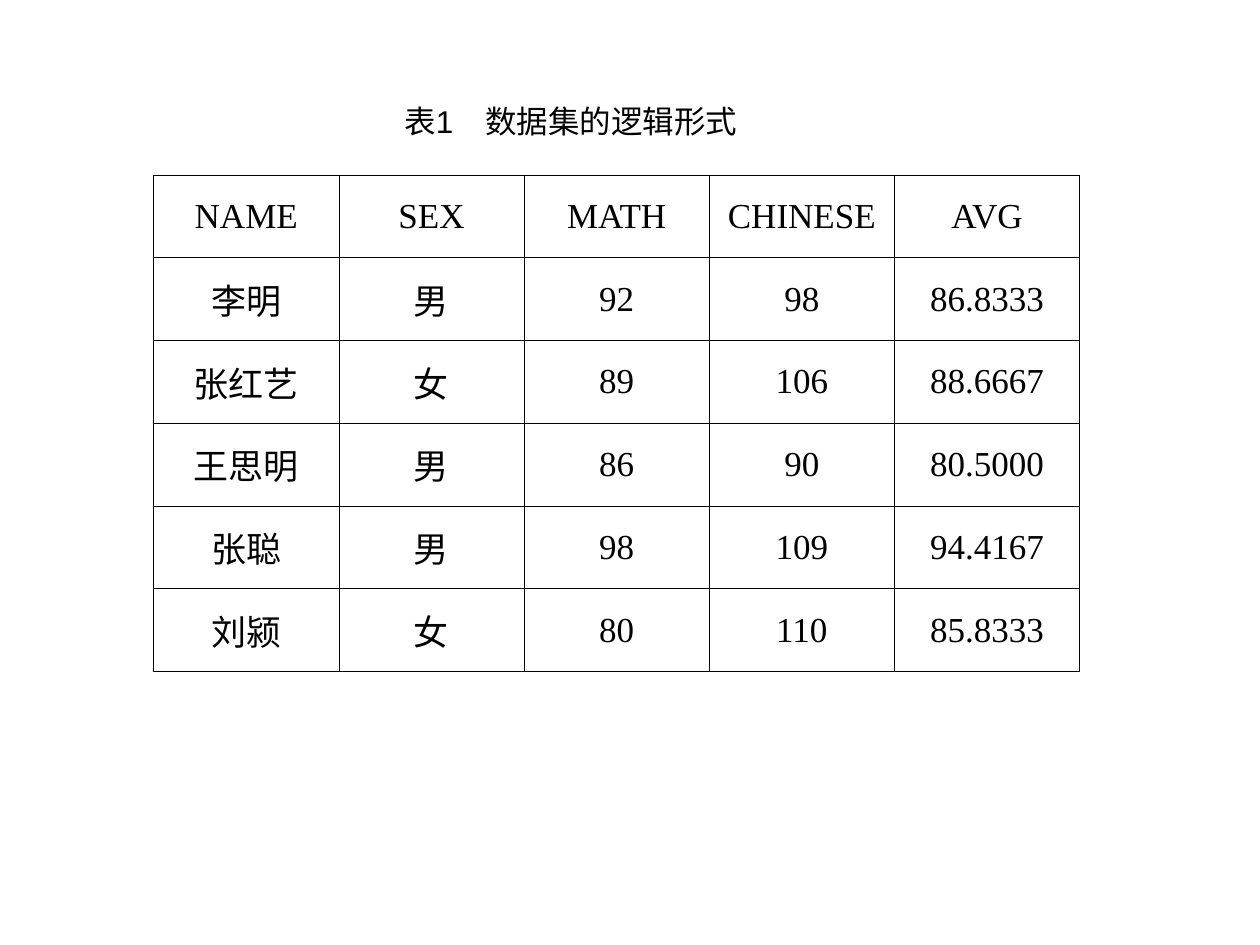
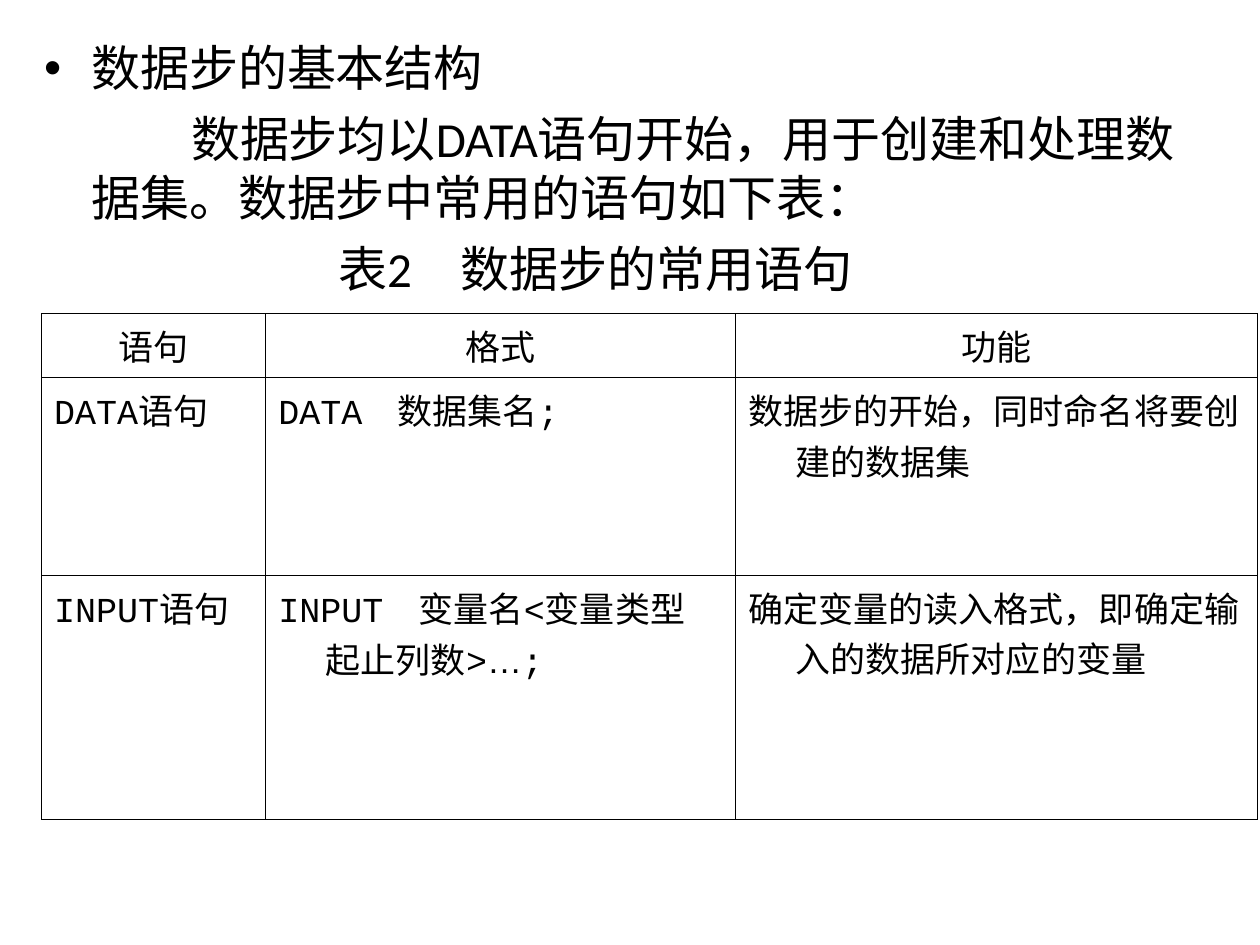
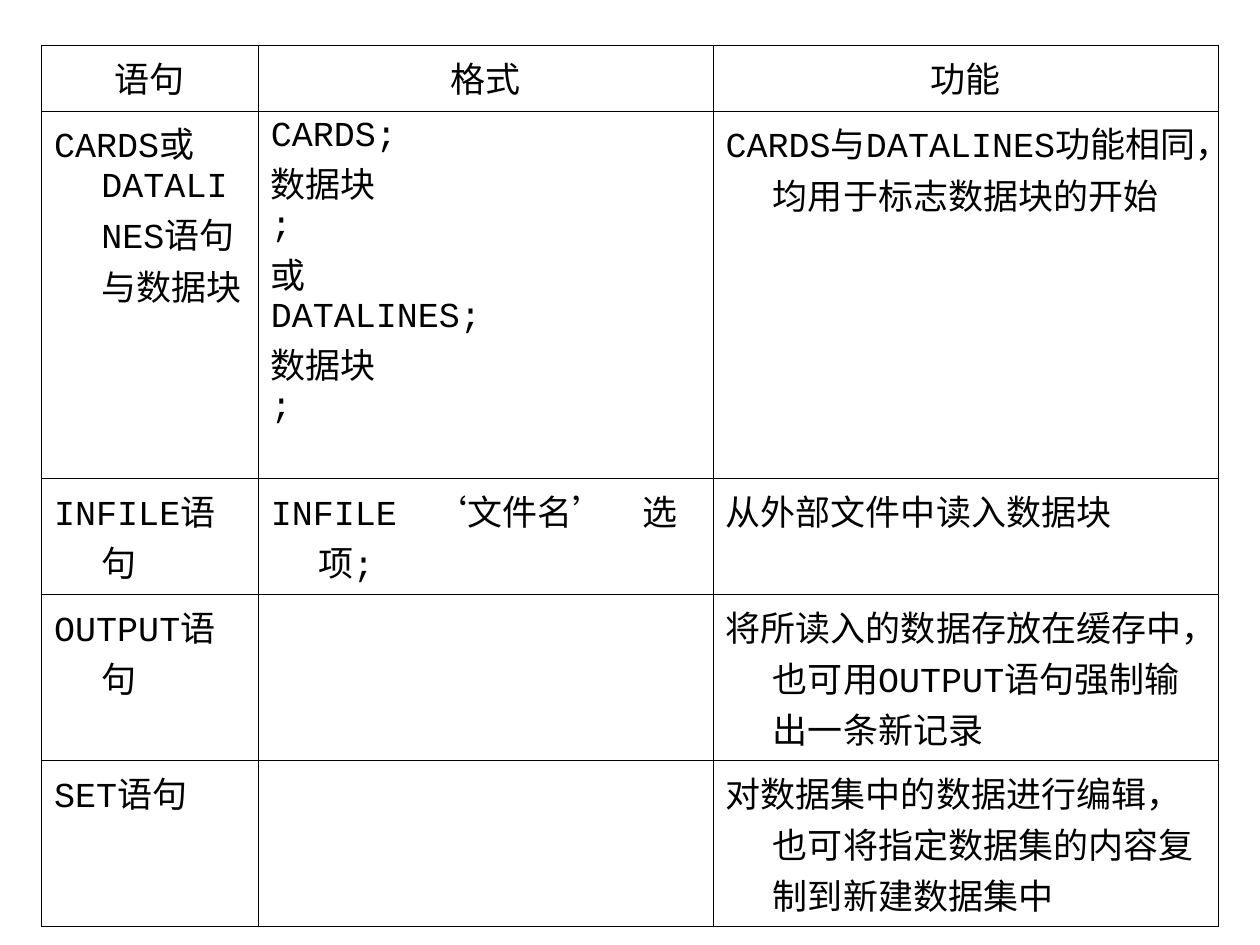
"""Build three slides on the structure of data sets and data steps."""
import dataclasses
import itertools

import pptx
import pptx.dml.color
import pptx.enum.text
import pptx.oxml
import pptx.oxml.ns
import pptx.util

Pt = pptx.util.Pt
ALIGN = pptx.enum.text.PP_ALIGN
ANCHOR = pptx.enum.text.MSO_ANCHOR
AUTO_SIZE = pptx.enum.text.MSO_AUTO_SIZE


@dataclasses.dataclass(frozen=True)
class Theme:
    """Colours, fonts, type sizes and shared lengths in points."""

    ink: str = "000000"
    caption_font: str = "Arial"
    body_font: str = "Calibri"
    data_font: str = "Times New Roman"
    code_font: str = "Courier New"
    symbol_font: str = "Arial"
    symbols: str = "‘’…"
    caption_size: float = 18
    body_size: float = 28
    table_size: float = 20
    border: float = 0.45
    hanging: float = 27
    body_space: float = 7


THEME = Theme()
STATEMENT_HEADER = ["语句", "格式", "功能"]
STATEMENT_LEFT = 23.76

SCORES = [
    ["NAME", "SEX", "MATH", "CHINESE", "AVG"],
    ["李明", "男", "92", "98", "86.8333"],
    ["张红艺", "女", "89", "106", "88.6667"],
    ["王思明", "男", "86", "90", "80.5000"],
    ["张聪", "男", "98", "109", "94.4167"],
    ["刘颍", "女", "80", "110", "85.8333"],
]

BASIC_STATEMENTS = [
    STATEMENT_HEADER,
    ["DATA语句", "DATA　数据集名;", "数据步的开始，同时命名将要创建的数据集"],
    ["INPUT语句", "INPUT　变量名<变量类型　起止列数>…;",
     "确定变量的读入格式，即确定输入的数据所对应的变量"],
]

MORE_STATEMENTS = [
    STATEMENT_HEADER,
    ["CARDS或DATALINES语句与数据块",
     "CARDS;\n数据块\n;\n或\nDATALINES;\n数据块\n;",
     "CARDS与DATALINES功能相同，均用于标志数据块的开始"],
    ["INFILE语句", "INFILE　‘文件名’　选项;", "从外部文件中读入数据块"],
    ["OUTPUT语句", "", "将所读入的数据存放在缓存中，也可用OUTPUT语句强制输出一条新记录"],
    ["SET语句", "", "对数据集中的数据进行编辑，也可将指定数据集的内容复制到新建数据集中"],
]


def add_runs(paragraph, text, font_name, size):
    """Add text run by run, with quotes and ellipses in the symbol font."""
    for is_symbol, letters in itertools.groupby(text, lambda letter: letter in THEME.symbols):
        run = paragraph.add_run()
        run.text = "".join(letters)
        run.font.name = THEME.symbol_font if is_symbol else font_name
        run.font.size = Pt(size)
        run.font.color.rgb = pptx.dml.color.RGBColor.from_string(THEME.ink)


def set_indent(paragraph, first_line):
    """Give a paragraph the shared left margin and its own first-line indent."""
    properties = paragraph._p.get_or_add_pPr()
    properties.set("marL", str(Pt(THEME.hanging)))
    properties.set("indent", str(Pt(first_line)))


def set_bullet(paragraph, character):
    """Show the given bullet character, or none if it is empty."""
    tag = f'a:buChar char="{character}"' if character else "a:buNone"
    bullet = pptx.oxml.parse_xml(f"<{tag} {pptx.oxml.ns.nsdecls('a')}/>")
    paragraph._p.get_or_add_pPr().append(bullet)


def draw_borders(cell):
    """Draw a thin line on all four sides of a cell."""
    properties = cell._tc.get_or_add_tcPr()
    for index, side in enumerate(("lnL", "lnR", "lnT", "lnB")):
        line = pptx.oxml.parse_xml(
            f"<a:{side} {pptx.oxml.ns.nsdecls('a')} w=\"{Pt(THEME.border)}\">"
            f'<a:solidFill><a:srgbClr val="{THEME.ink}"/></a:solidFill></a:{side}>'
        )
        properties.insert(index, line)


def fill_cell(cell, text, font_name, align, anchor):
    """Write and format one table cell."""
    cell.fill.background()
    cell.vertical_anchor = anchor
    draw_borders(cell)
    for index, line in enumerate(text.split("\n")):
        frame = cell.text_frame
        paragraph = frame.add_paragraph() if index else frame.paragraphs[0]
        paragraph.alignment = align
        set_indent(paragraph, -THEME.hanging)
        add_runs(paragraph, line, font_name, THEME.table_size)


def add_grid(slide, rows, left, top, widths, heights, font_name,
             body_align=ALIGN.LEFT, anchor=ANCHOR.TOP):
    """Add a ruled table whose header row is centred."""
    shape = slide.shapes.add_table(len(rows), len(widths), Pt(left), Pt(top),
                                   Pt(sum(widths)), Pt(sum(heights)))
    table = shape.table
    table.first_row = table.horz_banding = False
    for column, width in zip(table.columns, widths):
        column.width = Pt(width)
    for row_index, (texts, height) in enumerate(zip(rows, heights)):
        table.rows[row_index].height = Pt(height)
        align = body_align if row_index else ALIGN.CENTER
        for column_index, text in enumerate(texts):
            fill_cell(table.cell(row_index, column_index), text, font_name, align, anchor)


def place(shape, left, top, width, height):
    """Move and size a shape."""
    shape.left, shape.top = Pt(left), Pt(top)
    shape.width, shape.height = Pt(width), Pt(height)


def write_caption(slide, text):
    """Set the title placeholder as the caption above the table."""
    title = slide.shapes.title
    place(title, 219.6, 54.72, 213.12, 28.8)
    frame = title.text_frame
    frame.word_wrap = False
    frame.auto_size = AUTO_SIZE.SHAPE_TO_FIT_TEXT
    frame.vertical_anchor = ANCHOR.MIDDLE
    paragraph = frame.paragraphs[0]
    paragraph.alignment = ALIGN.CENTER
    add_runs(paragraph, text, THEME.caption_font, THEME.caption_size)


def write_body(slide, lines):
    """Fill the body placeholder from (text, first-line indent, bullet) lines."""
    body = slide.placeholders[1]
    place(body, 18, 18, 671, 348.5)
    frame = body.text_frame
    frame.auto_size = AUTO_SIZE.NONE
    for index, (text, first_line, bullet) in enumerate(lines):
        paragraph = frame.add_paragraph() if index else frame.paragraphs[0]
        paragraph.space_before = Pt(THEME.body_space)
        set_indent(paragraph, first_line)
        set_bullet(paragraph, bullet)
        add_runs(paragraph, text, THEME.body_font, THEME.body_size)


def build_scores_slide(presentation):
    """Show the logical form of a data set."""
    slide = presentation.slides.add_slide(presentation.slide_layouts.get_by_name("Title Only"))
    write_caption(slide, "表1　数据集的逻辑形式")
    add_grid(slide, SCORES, 87.84, 100, [105.84] * 5, [47.3] * 6, THEME.data_font,
             ALIGN.CENTER, ANCHOR.MIDDLE)


def build_structure_slide(presentation):
    """Explain the data step and list its first statements."""
    layout = presentation.slide_layouts.get_by_name("Title and Content")
    slide = presentation.slides.add_slide(layout)
    title = slide.shapes.title.element
    title.getparent().remove(title)
    write_body(slide, [
        ("数据步的基本结构", -THEME.hanging, "•"),
        ("数据步均以DATA语句开始，用于创建和处理数据集。数据步中常用的语句如下表：",
         3 * THEME.body_size - THEME.hanging, ""),
        ("表2　数据步的常用语句", 6 * THEME.body_size - THEME.hanging, ""),
    ])
    add_grid(slide, BASIC_STATEMENTS, STATEMENT_LEFT, 179.28, [128.16, 268.56, 298.08],
             [33.84, 113.04, 139.68], THEME.code_font)


def build_statements_slide(presentation):
    """List the remaining statements."""
    slide = presentation.slides.add_slide(presentation.slide_layouts.get_by_name("Blank"))
    add_grid(slide, MORE_STATEMENTS, STATEMENT_LEFT, 26.2, [123.84, 259.92, 288.72],
             [37.2, 210, 66.3, 95, 95], THEME.code_font)


def main():
    """Build and save the presentation."""
    presentation = pptx.Presentation()
    presentation.slide_width, presentation.slide_height = Pt(720), Pt(540)
    build_scores_slide(presentation)
    build_structure_slide(presentation)
    build_statements_slide(presentation)
    presentation.save("out.pptx")


if __name__ == "__main__":
    main()
